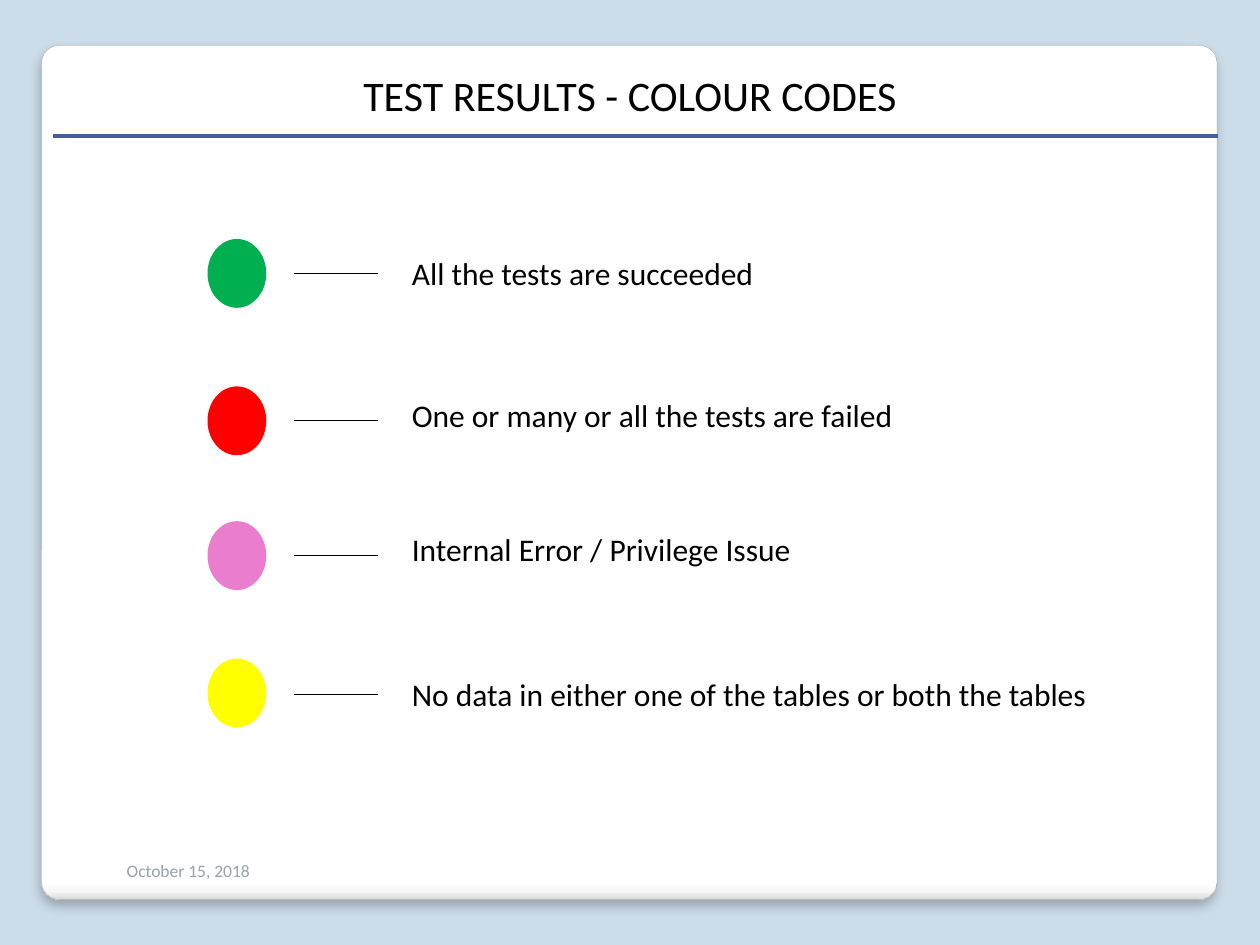
from lxml import etree
from pptx import Presentation
from pptx.dml.color import RGBColor
from pptx.enum.shapes import MSO_CONNECTOR, MSO_SHAPE
from pptx.enum.text import MSO_ANCHOR, PP_ALIGN
from pptx.oxml import parse_xml
from pptx.oxml.ns import nsdecls, qn
from pptx.util import Inches, Pt

ROUND, OVAL = MSO_SHAPE.ROUNDED_RECTANGLE, MSO_SHAPE.OVAL
LINE = MSO_CONNECTOR.STRAIGHT
LEFT, CENTER, RIGHT = PP_ALIGN.LEFT, PP_ALIGN.CENTER, PP_ALIGN.RIGHT
TOP, BOTTOM = MSO_ANCHOR.TOP, MSO_ANCHOR.BOTTOM

SKY = RGBColor(0xCC, 0xDD, 0xEA)
EDGE = RGBColor(0xA4, 0xA4, 0xA4)
GRAY = RGBColor(0x97, 0xA3, 0xAD)
BLUE = RGBColor(0x46, 0x5E, 0x9C)
BLACK = RGBColor(0, 0, 0)
GREEN = RGBColor(0, 0xB0, 0x50)
RED = RGBColor(0xFF, 0, 0)
PINK = RGBColor(0xEB, 0x7D, 0xCE)
YELLOW = RGBColor(0xFF, 0xFF, 0)

deck = Presentation()
deck.slide_width, deck.slide_height = Inches(10), Inches(7.5)
slide = deck.slides.add_slide(deck.slide_layouts[6])
slide.background.fill.solid()
slide.background.fill.fore_color.rgb = SKY
shapes = slide.shapes


def add_text(text, x, y, w, h, size=18, color=BLACK, align=LEFT, anchor=TOP):
    box = shapes.add_textbox(Inches(x), Inches(y), Inches(w), Inches(h))
    frame = box.text_frame
    frame.word_wrap = True
    frame.vertical_anchor = anchor
    para = frame.paragraphs[0]
    para.alignment = align
    run = para.add_run()
    run.text = text
    run.font.name = "Calibri"
    run.font.size = Pt(size)
    run.font.color.rgb = color


def add_line(x1, x2, y, color, width):
    line = shapes.add_connector(LINE, Inches(x1), Inches(y), Inches(x2), Inches(y))
    line.line.color.rgb = color
    line.line.width = Pt(width)
    etree.SubElement(line._element.spPr, qn("a:effectLst"))


# White card with a shaded lower edge and a soft shadow
card = shapes.add_shape(ROUND, Inches(0.33), Inches(0.36), Inches(9.33), Inches(6.78))
card.adjustments[0] = 0.021
card.line.color.rgb = EDGE
card.line.width = Pt(0.16)
card.fill.gradient()
card.fill.gradient_angle = 270
stops = card._element.spPr.find(".//" + qn("a:gsLst"))
for stop in list(stops):
    stops.remove(stop)
for pos, shade in [(0, "FFFFFF"), (98, "FFFFFF"), (99, "F7F7F7"), (100, "DADADA")]:
    stops.append(parse_xml(
        f'<a:gs {nsdecls("a")} pos="{pos * 1000}"><a:srgbClr val="{shade}"/></a:gs>'))
card.shadow.inherit = False
card._element.spPr.find(qn("a:effectLst")).append(parse_xml(
    f'<a:outerShdw {nsdecls("a")} blurRad="{Pt(6)}" dist="{Pt(4)}" dir="5400000" '
    'rotWithShape="0"><a:srgbClr val="000000"><a:alpha val="25000"/></a:srgbClr>'
    '</a:outerShdw>'))

# Date, rule and title
add_text("October 15, 2018", -0.42, 6.61, 2.5, 0.43, size=10, color=GRAY,
         align=RIGHT, anchor=BOTTOM)
add_line(0.42, 9.67, 1.08, BLUE, 2.5)
add_text("TEST RESULTS - COLOUR CODES", 2.5, 0.5, 5, 0.5, size=24, align=CENTER)

# Legend: dot top, line height, text top and text width of each row
rows = [
    (GREEN, 1.92, 2.17, 1.97, 3.75, "All the tests are succeeded"),
    (RED, 3.09, 3.34, 3.09, 4.17, "One or many or all the tests are failed"),
    (PINK, 4.16, 4.41, 4.16, 3.75, "Internal Error / Privilege Issue"),
    (YELLOW, 5.25, 5.51, 5.31, 6.07,
     "No data in either one of the tables or both the tables"),
]
for color, top, mid, y, width, label in rows:
    dot = shapes.add_shape(OVAL, Inches(1.67), Inches(top), Inches(0.42), Inches(0.5))
    dot.shadow.inherit = False
    dot.fill.solid()
    dot.fill.fore_color.rgb = color
    dot.line.color.rgb = color
    dot.line.width = Pt(3.35)
    add_line(2.33, 3, mid, BLACK, 0.75)
    add_text(label, 3.17, y, width, 0.4)

deck.save("out.pptx")
